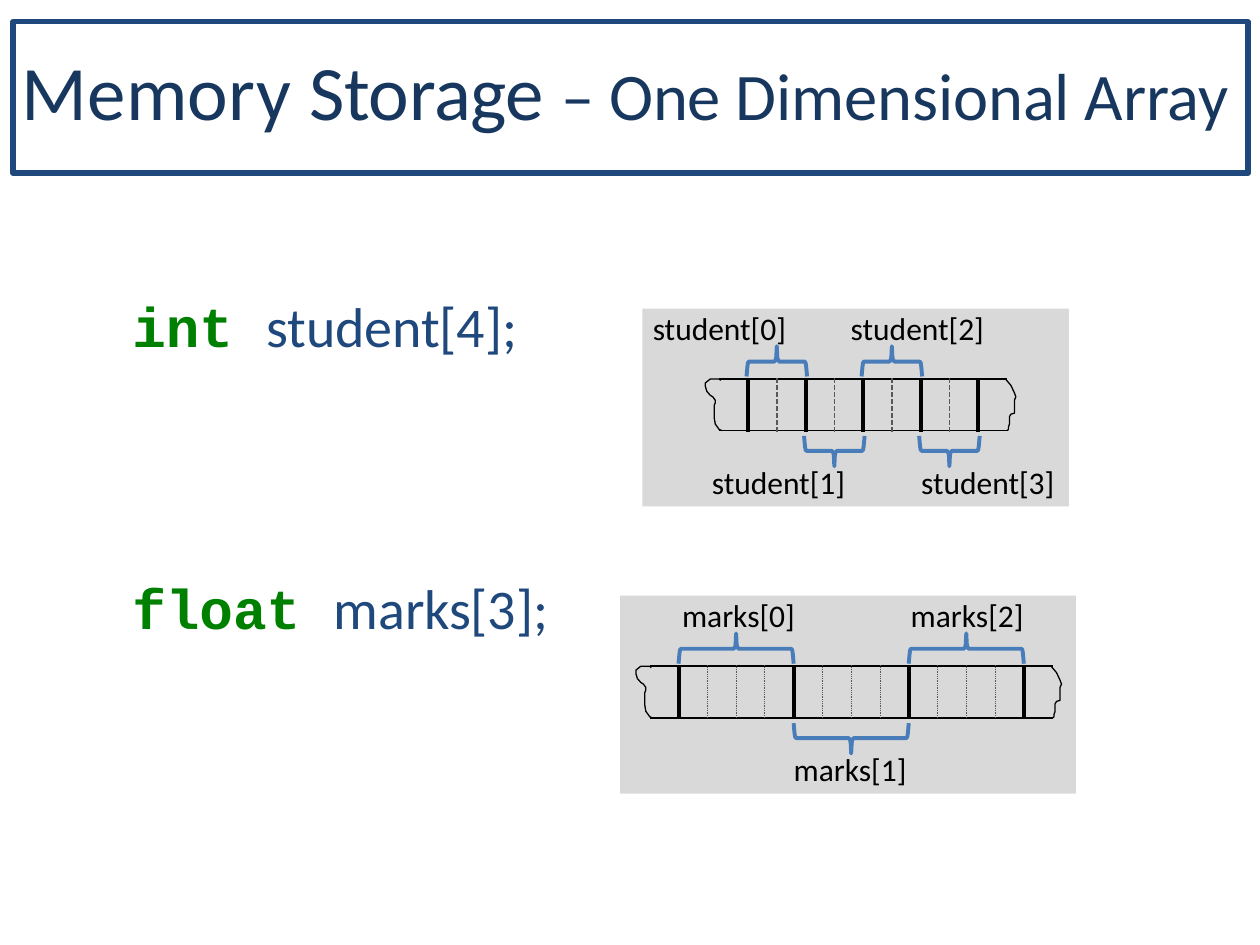
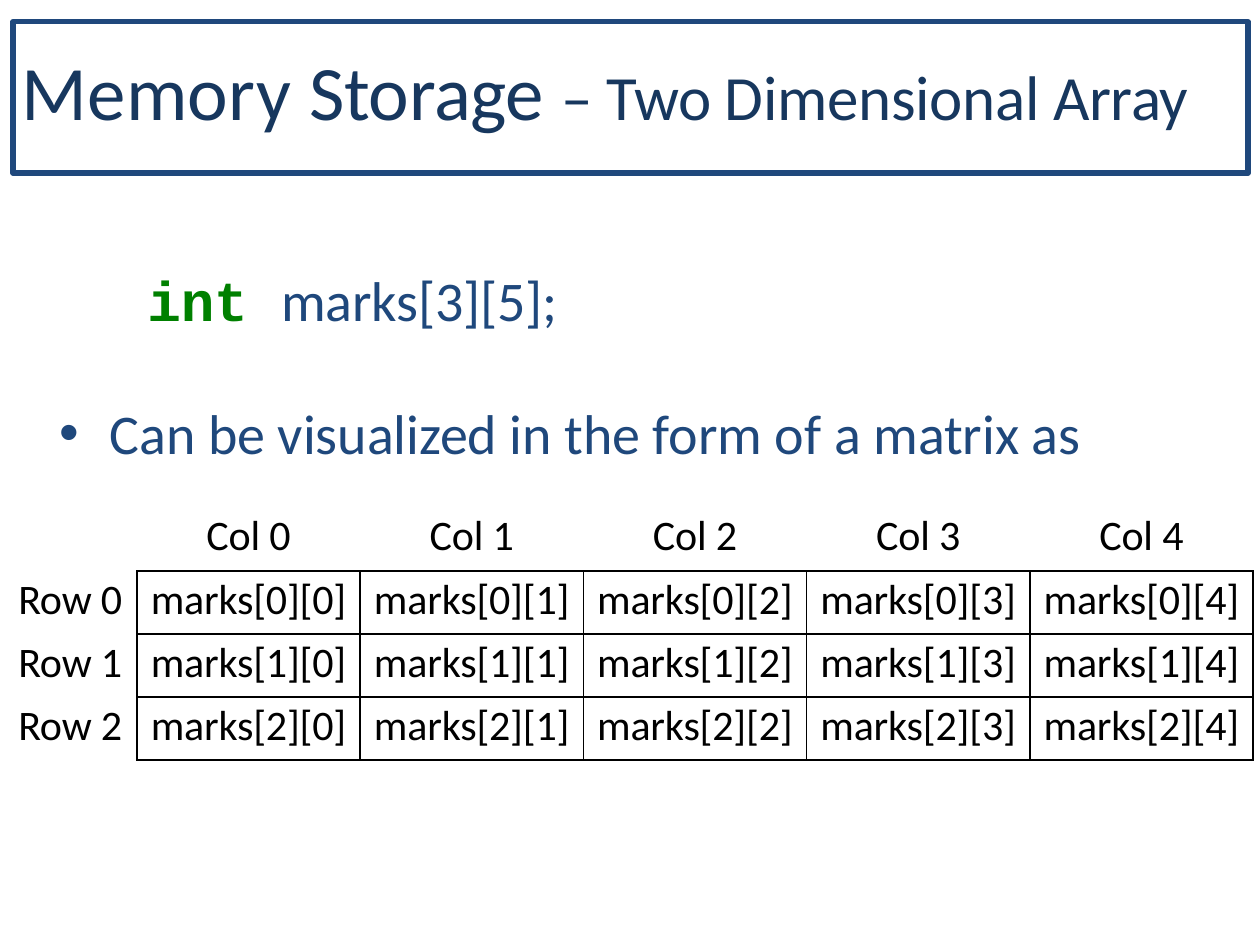
import pptx
import pptx.util
import pptx.dml.color
import pptx.enum.dml
import pptx.enum.shapes
import pptx.enum.text
import pptx.oxml
import pptx.oxml.ns
from lxml import etree

Cm, Pt = pptx.util.Cm, pptx.util.Pt
rgb = pptx.dml.color.RGBColor.from_string
DASH = pptx.enum.dml.MSO_LINE
SHAPE = pptx.enum.shapes.MSO_SHAPE
STRAIGHT = pptx.enum.shapes.MSO_CONNECTOR.STRAIGHT
TEXT = pptx.enum.text
qn = pptx.oxml.ns.qn

NAVY, BLUE, GREEN, BLACK = "17375E", "1F487C", "008000", "000000"
BRACE, PANEL, GREY = "497DBA", "D9D9D9", "585858"
BODY, CODE = "Calibri", "Courier New"


def write(tf, p, parts, inset=(0, 0.03)):
    """Set a frame's left and top inset (cm) and add runs of
    (text, size, font, colour, letter spacing in 1/100 pt)."""
    tf.word_wrap = True
    tf.auto_size = TEXT.MSO_AUTO_SIZE.NONE
    tf.vertical_anchor = TEXT.MSO_ANCHOR.TOP
    tf.margin_left, tf.margin_top = Cm(inset[0]), Cm(inset[1])
    tf.margin_right = tf.margin_bottom = 0
    for text, size, font, color, spacing in parts:
        r = p.add_run()
        r.text = text
        r.font.size = Pt(size)
        r.font.name = font
        r.font.bold = font == CODE
        r.font.color.rgb = rgb(color)
        r._r.get_or_add_rPr().set("spc", str(spacing))


def draw_outline(s, strokes, color, width):
    """Draw open lines, each a list of points in cm, as one shape."""
    strokes = [[(Cm(x), Cm(y)) for x, y in points] for points in strokes]
    builder = s.shapes.build_freeform(*strokes[0][0], scale=1.0)
    for i, points in enumerate(strokes):
        if i:
            builder.move_to(*points[0])
        builder.add_line_segments(points[1:], close=False)
    sp = builder.convert_to_shape()
    sp.shadow.inherit = False
    sp.fill.background()
    sp.line.color.rgb = rgb(color)
    sp.line.width = Pt(width)


prs = pptx.Presentation()
prs.slide_width, prs.slide_height = Cm(25.4), Cm(19.05)

# Both slides: framed title
slides = []
for layout, subject, size, spacing in [(5, "– One Dimensional Array", 38, -10),
                                       (1, "– Two Dimensional Array", 36, -20)]:
    s = prs.slides.add_slide(prs.slide_layouts[layout])
    title = s.shapes.title
    title.left, title.top, title.width, title.height = Cm(0.26), Cm(0.44), Cm(24.9), Cm(3.05)
    title.line.color.rgb = rgb(BLUE)
    title.line.width = Pt(3)
    p = title.text_frame.paragraphs[0]
    p.alignment = TEXT.PP_ALIGN.LEFT
    write(title.text_frame, p, [("Memory ", 44, BODY, NAVY, 10),
                                ("Storage ", 44, BODY, NAVY, -20),
                                (subject, size, BODY, NAVY, spacing)], inset=(0.18, 0.43))
    slides.append(s)

# Slide 1: two arrays laid out in memory
s = slides[0]
BYTE, STRIP_H = 0.58, 1.04
TORN_LEFT = [(0.03, 0.03), (0, 0), (-0.18, 0), (-0.28, 0.08), (-0.28, 0.15), (-0.25, 0.25),
             (-0.18, 0.33), (-0.13, 0.36), (-0.08, 0.43), (-0.08, 0.48), (-0.1, 0.53),
             (-0.1, 0.79), (-0.08, 0.91), (0, 1.02), (0.05, 1.04)]
TORN_RIGHT = [(-0.03, 0), (0.08, 0.13), (0.15, 0.28), (0.18, 0.36), (0.15, 0.43), (0.15, 0.69),
              (0.08, 0.71), (0.05, 0.76), (0.05, 0.91), (0.03, 0.97), (0.03, 1.02), (0, 1.04)]
BRACE_END = [(0, 0), (0.01, 0.12), (0.02, 0.22), (0.03, 0.28), (0.05, 0.3)]
BRACE_TIP = [(-0.05, 0.3), (-0.02, 0.34), (-0.01, 0.4), (0, 0.61)]

# type, name, declaration top, panel box, first divider, bytes each, byte line,
# brace overhang, label width, label lefts
arrays = [
    ("int", "student", 5.84, (12.95, 6.22, 8.6, 3.99), 15.08, 2, (1, DASH.SQUARE_DOT),
     0.03, 2.72, [13.16, 14.35, 17.15, 18.57]),
    ("float", "marks", 11.53, (12.5, 12.01, 9.19, 3.99), 13.68, 4, (0.5, DASH.ROUND_DOT),
     0, 2.31, [13.75, 16, 18.36]),
]
for kind, name, declared_y, panel, first_x, size, byte_line, overhang, label_w, label_xs in arrays:
    sp = s.shapes.add_shape(SHAPE.RECTANGLE, *map(Cm, panel))
    sp.shadow.inherit = False
    sp.fill.solid()
    sp.fill.fore_color.rgb = rgb(PANEL)
    sp.line.fill.background()

    count = len(label_xs)
    top = panel[1] + 1.42
    bottom = top + STRIP_H
    left, right = first_x - BYTE, first_x + (count * size + 1) * BYTE

    lines = [(left, y, right, y, BLACK, 1, None) for y in (top, bottom)]
    for i in range(count * size + 1):
        x = first_x + i * BYTE
        style = (GREY, *byte_line) if i % size else (BLACK, 2.25, None)
        lines.append((x, top - 0.02, x, bottom + 0.02, *style))
    for x1, y1, x2, y2, color, width, dash in lines:
        line = s.shapes.add_connector(STRAIGHT, Cm(x1), Cm(y1), Cm(x2), Cm(y2))
        line.line.color.rgb = rgb(color)
        line.line.width = Pt(width)
        if dash:
            line.line.dash_style = dash
        etree.SubElement(line._element.spPr, qn("a:effectLst"))

    torn_ends = [[(edge + x, top + y) for x, y in torn]
                 for edge, torn in [(left, TORN_LEFT), (right, TORN_RIGHT)]]
    draw_outline(s, torn_ends, BLACK, 0.75)

    braces = []
    texts = [(2.67, declared_y, 8.6, 1.42, [(kind + " ", 32, CODE, GREEN, -5),
                                            (f"{name}[{count}];", 32, BODY, BLUE, -10)])]
    for i, label_x in enumerate(label_xs):
        # Even elements are labelled above the strip, odd ones below
        base, way, label_y = (bottom + 0.11, 1, 3.08) if i % 2 else (top - 0.05, -1, -0.03)
        half = size * BYTE / 2
        middle = first_x + (2 * i + 1) * half
        arm = [(x - half - overhang, y) for x, y in BRACE_END] + BRACE_TIP
        arm += [(-x, y) for x, y in arm[-2::-1]]
        braces.append([(middle + x, base + way * y) for x, y in arm])
        texts.append((label_x, panel[1] + label_y, label_w, 0.84,
                      [(f"{name}[{i}]", 18, BODY, BLACK, 0)]))
    draw_outline(s, braces, BRACE, 2.25)
    for x, y, w, h, parts in texts:
        tf = s.shapes.add_textbox(Cm(x), Cm(y), Cm(w), Cm(h)).text_frame
        write(tf, tf.paragraphs[0], parts)

# Slide 2: declaration, bullet and matrix
s = slides[1]
body = s.placeholders[1]
body.left, body.top, body.width, body.height = Cm(1.17), Cm(5.33), Cm(21.2), Cm(4.11)
tf = body.text_frame
paragraphs = [
    (1.8, 0, None, 0, [("int ", 32, CODE, GREEN, -10), ("marks[3][5];", 32, BODY, BLUE, -10)]),
    (1.04, -1.02, "•", 37.5,
     [("Can be visualized in the form of a matrix as", 32, BODY, BLUE, -5)]),
]
for i, (margin, indent, bullet, before, parts) in enumerate(paragraphs):
    p = tf.add_paragraph() if i else tf.paragraphs[0]
    pPr = p._p.get_or_add_pPr()
    pPr.set("marL", str(Cm(margin)))
    pPr.set("indent", str(Cm(indent)))
    if bullet:
        etree.SubElement(pPr, qn("a:buChar"), char=bullet)
    else:
        etree.SubElement(pPr, qn("a:buNone"))
    p.space_before = Pt(before)
    write(tf, p, parts)

ROWS, COLS = 3, 5
frame = s.shapes.add_table(ROWS + 1, COLS + 1, Cm(0.02), Cm(10.52), Cm(25.24), Cm(4.8))
table = frame.table
table.first_row = table.horz_banding = False
for c, column in enumerate(table.columns):
    column.width = Cm(4.5 if c else 2.74)
for r, row in enumerate(table.rows):
    row.height = Cm(1.27 if r else 0.99)
    for c, cell in enumerate(row.cells):
        if r and c:
            text, sides = f"marks[{r - 1}][{c - 1}]", "LRTB"
        elif r:
            text, sides = f"Row {r - 1}", "R"
        elif c:
            text, sides = f"Col {c - 1}", "B"
        else:
            text, sides = "", ""
        cell.margin_left = Cm(0.05 if r and not c else 0)
        cell.margin_right = cell.margin_bottom = 0
        cell.margin_top = Cm(0.07 if r else 0)
        cell.text_frame.text = text
        p = cell.text_frame.paragraphs[0]
        p.alignment = TEXT.PP_ALIGN.CENTER
        if not r:
            p.line_spacing = Pt(22.8)
        for run in p.runs:
            run.font.size = Pt(24)
            run.font.name = BODY
            run.font.color.rgb = rgb(BLACK)
            run._r.get_or_add_rPr().set("spc", "-10")
        cell.fill.background()
        tcPr = cell._tc.get_or_add_tcPr()
        for i, side in enumerate("LRTB"):
            ln = etree.Element(qn(f"a:ln{side}"), w=str(Pt(1)))
            if side in sides:
                fill = etree.SubElement(ln, qn("a:solidFill"))
                etree.SubElement(fill, qn("a:srgbClr"), val=BLACK)
            else:
                etree.SubElement(ln, qn("a:noFill"))
            tcPr.insert(i, ln)

prs.save("out.pptx")
